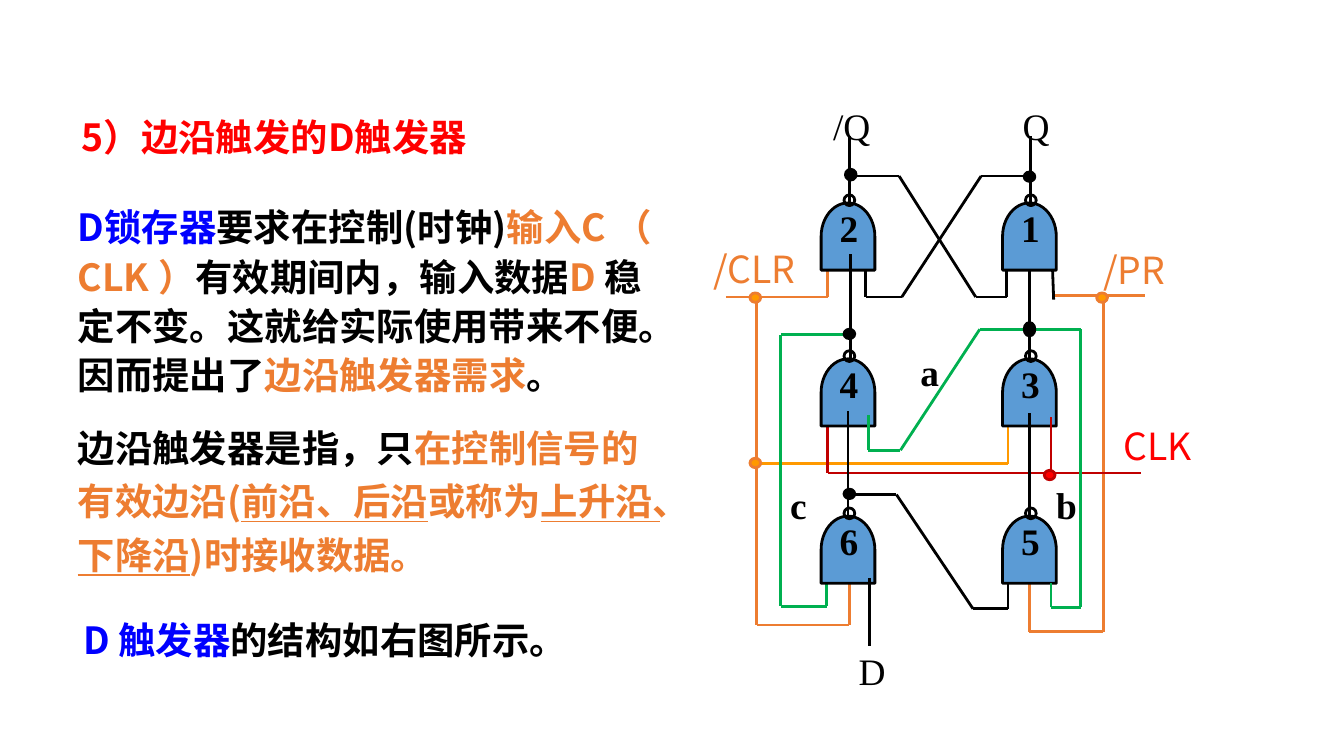
from itertools import pairwise

from lxml.etree import SubElement
from pptx import Presentation
from pptx.dml.color import RGBColor
from pptx.enum.shapes import MSO_CONNECTOR as Connector, MSO_SHAPE as Shape
from pptx.enum.text import MSO_ANCHOR as Anchor
from pptx.oxml.ns import qn
from pptx.util import Inches, Pt

BLACK, RED, BLUE, ORANGE = "000000", "FF0000", "0000FF", "ED7D31"
GREEN, CRIMSON, AMBER, GATE_FILL = "00B050", "C00000", "FF9900", "5B9BD5"
HEADING_FONT, SIGNAL_FONT, SERIF = "Noto Sans CJK JP", "Noto Sans CJK SC", "Times New Roman"

# Gate grid: left edges, top edges, and the number in each cell
COLUMNS = (6.11, 7.46)
ROWS = (1.51, 2.67, 3.84)
GATE_NUMBERS = (("2", "1"), ("4", "3"), ("6", "5"))
GATE_WIDTH, GATE_HEIGHT = 0.4, 0.5

# Wires that run behind the gates: colour and corner points
BACK_WIRES = [
    (BLACK, [(6.32, 1.51), (6.32, 1.01)]),
    (BLACK, [(7.67, 1.51), (7.67, 1.01)]),
    (BLACK, [(6.32, 1.31), (6.69, 1.31), (7.26, 2.21), (7.49, 2.21), (7.49, 1.97)]),
    (BLACK, [(7.67, 1.31), (7.3, 1.31), (6.71, 2.21), (6.44, 2.21), (6.44, 1.97)]),
    (BLACK, [(7.84, 2.23), (7.83, 1.96)]),
    (BLACK, [(7.66, 2.67), (7.66, 1.95)]),
    (BLACK, [(6.32, 3.68), (6.67, 3.68), (7.24, 4.53), (7.5, 4.53), (7.5, 4.3)]),
    (ORANGE, [(5.4, 2.21), (6.16, 2.21), (6.16, 1.97)]),
    (ORANGE, [(7.85, 2.2), (8.52, 2.2)]),
    (ORANGE, [(5.63, 2.23), (5.63, 4.65), (6.32, 4.65), (6.32, 4.3)]),
    (ORANGE, [(8.21, 2.21), (8.21, 4.7), (7.66, 4.7), (7.66, 4.3)]),
    (AMBER, [(5.66, 3.45), (7.5, 3.45), (7.5, 3.13)]),
    (CRIMSON, [(6.16, 3.13), (6.16, 3.52), (8.49, 3.52)]),
    (GREEN, [(6.32, 2.49), (5.81, 2.49), (5.81, 4.51), (6.15, 4.51), (6.15, 4.29)]),
]

# Wires that run over the gates
FRONT_WIRES = [
    (BLACK, [(6.33, 2.68), (6.33, 1.89)]),
    (BLACK, [(6.31, 3.85), (6.31, 3.06)]),
    (BLACK, [(7.66, 3.86), (7.66, 3.07)]),
    (BLACK, [(6.47, 4.3), (6.47, 4.81)]),
    (CRIMSON, [(7.82, 3.52), (7.82, 3.1)]),
    (GREEN, [(6.46, 3.09), (6.46, 3.35), (6.7, 3.35), (7.29, 2.45),
             (8.04, 2.45), (8.04, 4.52), (7.82, 4.52), (7.82, 4.34)]),
]

# Junction dots: left, top, height, fill, outline
JUNCTIONS = [
    (6.29, 1.26, 0.08, BLACK, BLACK), (7.62, 1.28, 0.07, BLACK, BLACK),
    (6.28, 2.45, 0.07, BLACK, BLACK), (7.62, 2.4, 0.1, BLACK, BLACK),
    (6.28, 3.64, 0.07, BLACK, BLACK), (7.77, 3.5, 0.07, RED, CRIMSON),
    (5.58, 2.18, 0.07, AMBER, ORANGE), (5.58, 3.41, 0.07, AMBER, ORANGE),
    (8.16, 2.18, 0.07, AMBER, ORANGE),
]

# Signal labels: text, left, top, width, font, colour, bold
LABELS = [
    ("/Q", 6.1, 0.72, 0.59, SERIF, BLACK, False),
    ("Q", 7.51, 0.72, 0.42, SERIF, BLACK, False),
    ("D", 6.29, 4.77, 0.42, SERIF, BLACK, False),
    ("a", 6.75, 2.55, 0.42, SERIF, BLACK, True),
    ("b", 7.76, 3.54, 0.42, SERIF, BLACK, True),
    ("c", 5.78, 3.54, 0.42, SERIF, BLACK, True),
    ("/CLR", 5.21, 1.78, 0.85, SIGNAL_FONT, ORANGE, False),
    ("/PR", 8.11, 1.79, 0.85, SIGNAL_FONT, ORANGE, False),
    ("CLK", 8.26, 3.1, 0.85, SIGNAL_FONT, RED, False),
]

# Explanatory text: (line spacing, [(text, colour, underline)])
EXPLANATION = [
    (1.1, [("D锁存器", BLUE, False), ("要求在控制(时钟)", BLACK, False),
           ("输入C （ CLK ）", ORANGE, False), ("有效期间内，输入数据", BLACK, False),
           ("D ", ORANGE, False),
           ("稳定不变。这就给实际使用带来不便。因而提出了", BLACK, False),
           ("边沿触发器需求", ORANGE, False), ("。", BLACK, False)]),
    (1.2, [("边沿触发器是指，只", BLACK, False), ("在控制信号的有效边沿(", ORANGE, False),
           ("前沿、后沿", ORANGE, True), ("或称为", ORANGE, False),
           ("上升沿、下降沿", ORANGE, True), (")时接收数据。", ORANGE, False)]),
]


def color(value):
    return RGBColor.from_string(value)


def add_text(page, frame, paragraphs, font=HEADING_FONT, bold=True, anchor=Anchor.TOP):
    box = page.shapes.add_textbox(*map(Inches, frame))
    text_frame = box.text_frame
    text_frame.word_wrap = True
    text_frame.vertical_anchor = anchor
    for index, (spacing, spans) in enumerate(paragraphs):
        para = text_frame.add_paragraph() if index else text_frame.paragraphs[0]
        para.line_spacing = spacing
        if index:
            para.space_before = Pt(10)
        for text, ink, underline in spans:
            span = para.add_run()
            span.text = text
            formats = {"name": font, "size": Pt(20), "bold": bold, "underline": underline}
            for name, value in formats.items():
                setattr(span.font, name, value)
            span.font.color.rgb = color(ink)
            # East Asian characters take their font from a:ea
            SubElement(span.font._element, qn("a:ea"), typeface=font)


def add_label(page, text, left, top, width, font, ink, bold):
    add_text(page, (left, top, width, 0.49), [(1.0, [(text, ink, False)])], font, bold)


def add_wire(page, ink, points):
    for start, end in pairwise(points):
        wire = page.shapes.add_connector(Connector.STRAIGHT, *map(Inches, start + end))
        wire.line.color.rgb = color(ink)
        wire.line.width = Pt(1.5)
        SubElement(wire._element.spPr, qn("a:effectLst"))


def add_outlined(page, kind, frame, fill=None, outline=BLACK):
    shape = page.shapes.add_shape(kind, *map(Inches, frame))
    shape.shadow.inherit = False
    if fill:
        shape.fill.solid()
        shape.fill.fore_color.rgb = color(fill)
    else:
        shape.fill.background()
    shape.line.color.rgb = color(outline)
    shape.line.width = Pt(1.5)
    return shape


def add_gate(page, left, top):
    # The shape lies on its side, so width and height swap about the same centre
    shift = (GATE_HEIGHT - GATE_WIDTH) / 2
    frame = (left - shift, top + shift, GATE_HEIGHT, GATE_WIDTH)
    add_outlined(page, Shape.FLOWCHART_DELAY, frame, GATE_FILL).rotation = 270


def add_circuit(page):
    cells = [(left, top, GATE_NUMBERS[row][column])
             for row, top in enumerate(ROWS) for column, left in enumerate(COLUMNS)]
    for ink, points in BACK_WIRES:
        add_wire(page, ink, points)
    for left, top, _ in cells:
        add_gate(page, left, top)
    for ink, points in FRONT_WIRES:
        add_wire(page, ink, points)
    for left, top, height, fill, outline in JUNCTIONS:
        add_outlined(page, Shape.OVAL, (left, top, 0.08, height), fill, outline)
    # Gate numbers and inverting bubbles
    for left, top, number in cells:
        add_label(page, number, left + 0.04, top - 0.03, 0.34, SERIF, BLACK, True)
        add_outlined(page, Shape.OVAL, (left + 0.17, top - 0.06, 0.08, 0.08))
    for label in LABELS:
        add_label(page, *label)


def main():
    # A 16:9 page
    deck = Presentation()
    deck.slide_width = Inches(10)
    deck.slide_height = deck.slide_width * 9 // 16
    page = deck.slides.add_slide(deck.slide_layouts[6])

    # Text on the left
    add_text(page, (0.51, 0.82, 4.64, 0.44),
             [(0.9, [("5）边沿触发的D触发器", RED, False)])], anchor=Anchor.MIDDLE)
    add_text(page, (0.48, 1.44, 4.53, 2.96), EXPLANATION)
    add_text(page, (0.52, 4.48, 3.7, 0.48),
             [(1.2, [("D 触发器", BLUE, False), ("的结构如右图所示。", BLACK, False)])])

    # Circuit on the right
    add_circuit(page)
    deck.save("out.pptx")


if __name__ == "__main__":
    main()
